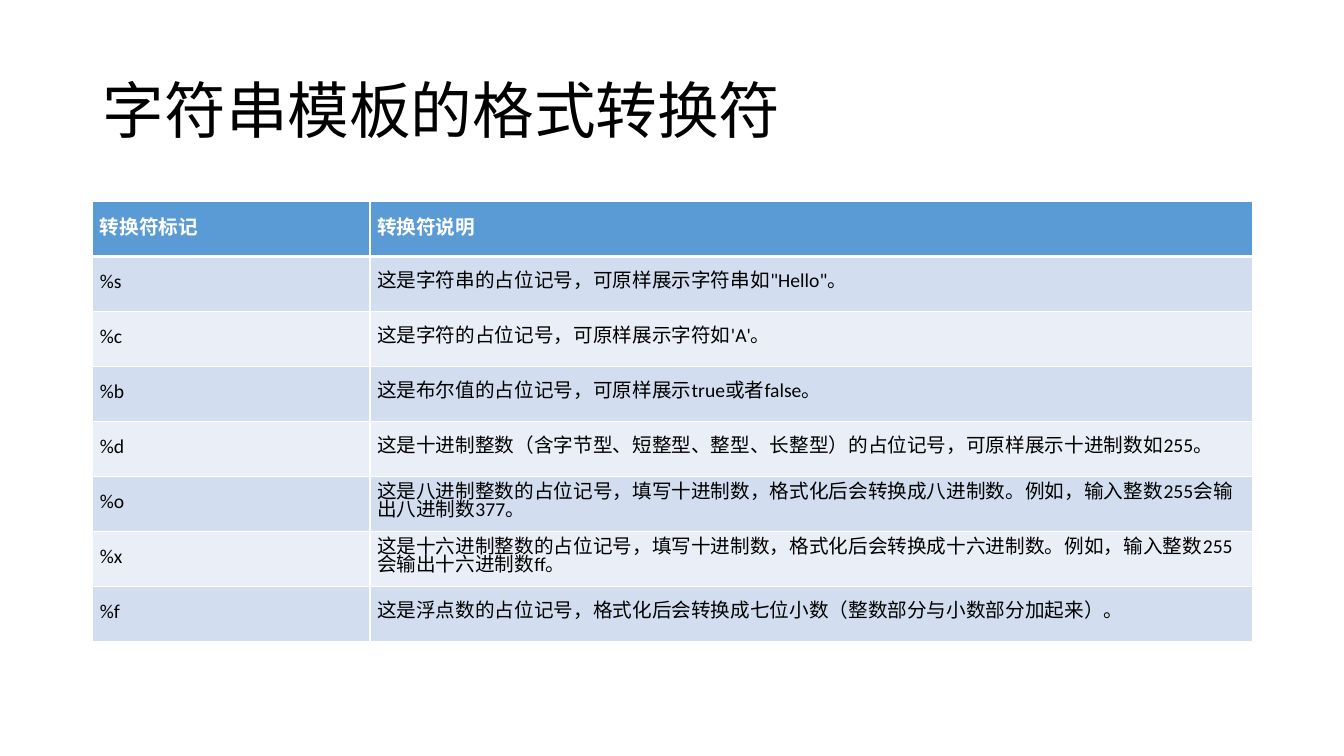
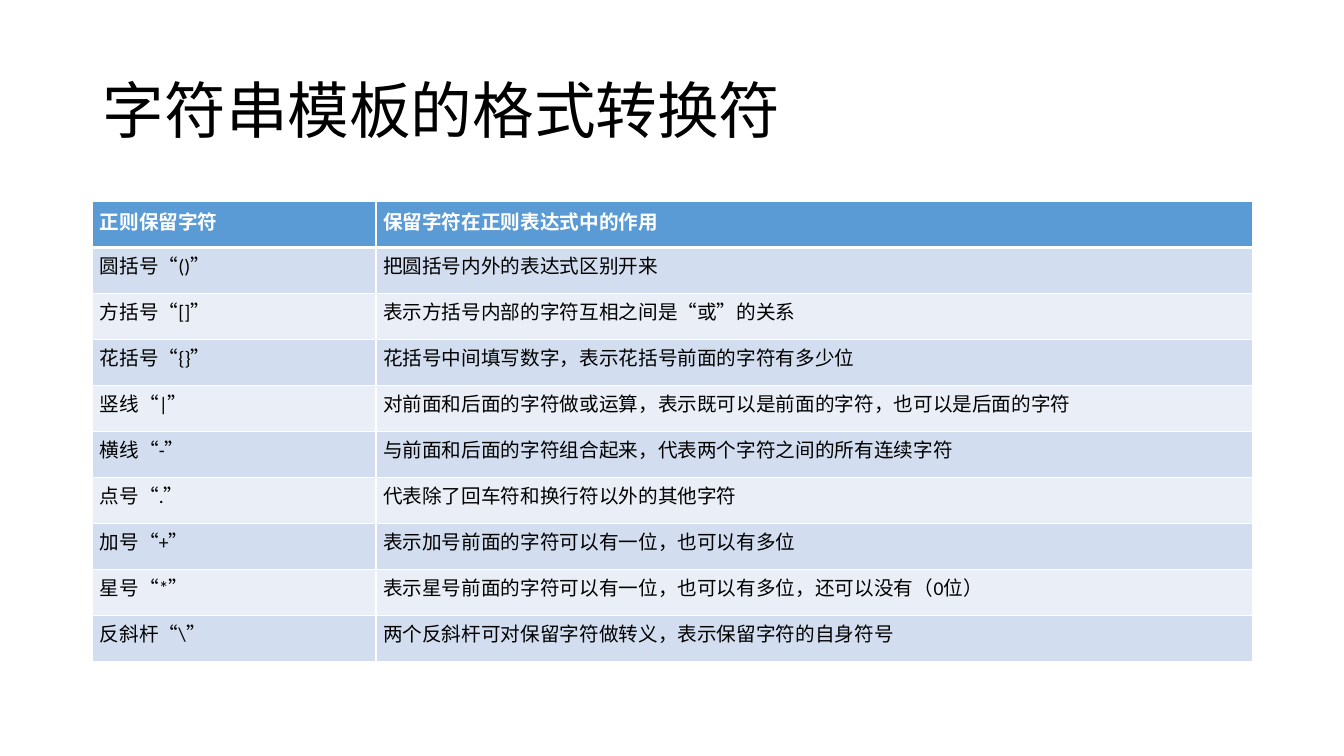
import dataclasses

import pptx
import pptx.dml.color
import pptx.enum.lang
import pptx.enum.text
import pptx.oxml
import pptx.oxml.ns
import pptx.util


@dataclasses.dataclass(frozen=True)
class Theme:
    font: str = "Calibri"
    ink: str = "000000"
    paper: str = "FFFFFF"
    header: str = "5B9BD5"
    bands: tuple = ("D2DEEF", "EAEFF7")
    title_size: float = 44
    table_size: float = 14
    header_leading: float = 15.6
    body_leading: float = 13
    rule: float = 1
    header_rule: float = 3


class Deck:
    """Holds the theme, the presentation and the current slide."""

    WIDTH, HEIGHT = 13.33, 7.5
    LEFT, CONTENT_WIDTH = 0.92, 11.5
    TITLE_TOP, TITLE_HEIGHT, TABLE_TOP = 0.4, 1.45, 2
    CELL_INSET = 0.07

    def __init__(self, theme):
        self.theme = theme
        self.prs = pptx.Presentation()
        self.prs.slide_width = pptx.util.Inches(self.WIDTH)
        self.prs.slide_height = pptx.util.Inches(self.HEIGHT)
        self.slide = None

    def box(self, top, height):
        """Full content width at the given height."""
        return [pptx.util.Inches(v) for v in (self.LEFT, top, self.CONTENT_WIDTH, height)]

    def run(self, p, text, size, color, bold=False):
        r = p.add_run()
        r.text = text
        r.font.name = self.theme.font
        r.font.size = pptx.util.Pt(size)
        r.font.bold = bold
        r.font.color.rgb = pptx.dml.color.RGBColor.from_string(color)
        r.font.language_id = pptx.enum.lang.MSO_LANGUAGE_ID.SIMPLIFIED_CHINESE

    def add_slide(self, title):
        self.slide = self.prs.slides.add_slide(self.prs.slide_layouts[5])
        sp = self.slide.shapes.title
        sp.left, sp.top, sp.width, sp.height = self.box(self.TITLE_TOP, self.TITLE_HEIGHT)
        tf = sp.text_frame
        tf.vertical_anchor = pptx.enum.text.MSO_ANCHOR.MIDDLE
        p = tf.paragraphs[0]
        p.alignment = pptx.enum.text.PP_ALIGN.LEFT
        p.line_spacing = 0.9
        self.run(p, title, self.theme.title_size, self.theme.ink)

    def border(self, cell, side, width):
        ns = pptx.oxml.ns.nsdecls("a")
        cell._tc.get_or_add_tcPr().append(pptx.oxml.parse_xml(
            f'<a:ln{side} {ns} w="{pptx.util.Pt(width)}"><a:solidFill>'
            f'<a:srgbClr val="{self.theme.paper}"/></a:solidFill></a:ln{side}>'))

    def cell(self, cell, text, row):
        t = self.theme
        is_header = row == 0
        # Borders come before the fill; the heavy rule lies under the header
        top = t.header_rule if row == 1 else t.rule
        bottom = t.header_rule if is_header else t.rule
        for side, width in (("L", t.rule), ("R", t.rule), ("T", top), ("B", bottom)):
            self.border(cell, side, width)
        fill = t.header if is_header else t.bands[(row - 1) % 2]
        cell.fill.solid()
        cell.fill.fore_color.rgb = pptx.dml.color.RGBColor.from_string(fill)

        # Text
        cell.margin_left = cell.margin_right = pptx.util.Inches(self.CELL_INSET)
        cell.margin_top = cell.margin_bottom = 0
        cell.vertical_anchor = pptx.enum.text.MSO_ANCHOR.MIDDLE
        p = cell.text_frame.paragraphs[0]
        align = pptx.enum.text.PP_ALIGN
        p.alignment = align.JUSTIFY if is_header else align.LEFT
        p.line_spacing = pptx.util.Pt(t.header_leading if is_header else t.body_leading)
        self.run(p, text, t.table_size, t.paper if is_header else t.ink, is_header)

    def add_table(self, rows, height, first_column):
        frame = self.slide.shapes.add_table(
            len(rows), len(rows[0]), *self.box(self.TABLE_TOP, height))
        table = frame.table
        widths = (first_column, self.CONTENT_WIDTH - first_column)
        for column, width in zip(table.columns, widths):
            column.width = pptx.util.Inches(width)
        for i, row in enumerate(rows):
            for j, text in enumerate(row):
                self.cell(table.cell(i, j), text, i)


TITLE = "字符串模板的格式转换符"

CONVERSIONS = [
    ("转换符标记", "转换符说明"),
    ("%s", "这是字符串的占位记号，可原样展示字符串如\"Hello\"。"),
    ("%c", "这是字符的占位记号，可原样展示字符如'A'。"),
    ("%b", "这是布尔值的占位记号，可原样展示true或者false。"),
    ("%d", "这是十进制整数（含字节型、短整型、整型、长整型）的占位记号，可原样展示十进制数如255。"),
    ("%o", "这是八进制整数的占位记号，填写十进制数，格式化后会转换成八进制数。"
           "例如，输入整数255会输出八进制数377。"),
    ("%x", "这是十六进制整数的占位记号，填写十进制数，格式化后会转换成十六进制数。"
           "例如，输入整数255会输出十六进制数ff。"),
    ("%f", "这是浮点数的占位记号，格式化后会转换成七位小数（整数部分与小数部分加起来）。"),
]

RESERVED = [
    ("正则保留字符", "保留字符在正则表达式中的作用"),
    ("圆括号“()”", "把圆括号内外的表达式区别开来"),
    ("方括号“[]”", "表示方括号内部的字符互相之间是“或”的关系"),
    ("花括号“{}”", "花括号中间填写数字，表示花括号前面的字符有多少位"),
    ("竖线“|”", "对前面和后面的字符做或运算，表示既可以是前面的字符，也可以是后面的字符"),
    ("横线“-”", "与前面和后面的字符组合起来，代表两个字符之间的所有连续字符"),
    ("点号“.”", "代表除了回车符和换行符以外的其他字符"),
    ("加号“+”", "表示加号前面的字符可以有一位，也可以有多位"),
    ("星号“*”", "表示星号前面的字符可以有一位，也可以有多位，还可以没有（0位）"),
    ("反斜杆“\\”", "两个反斜杆可对保留字符做转义，表示保留字符的自身符号"),
]


def main():
    deck = Deck(Theme())

    # Format conversion marks
    deck.add_slide(TITLE)
    deck.add_table(CONVERSIONS, height=4.37, first_column=2.75)

    # Reserved characters of regular expressions
    deck.add_slide(TITLE)
    deck.add_table(RESERVED, height=4.56, first_column=2.81)

    deck.prs.save("out.pptx")


if __name__ == "__main__":
    main()
